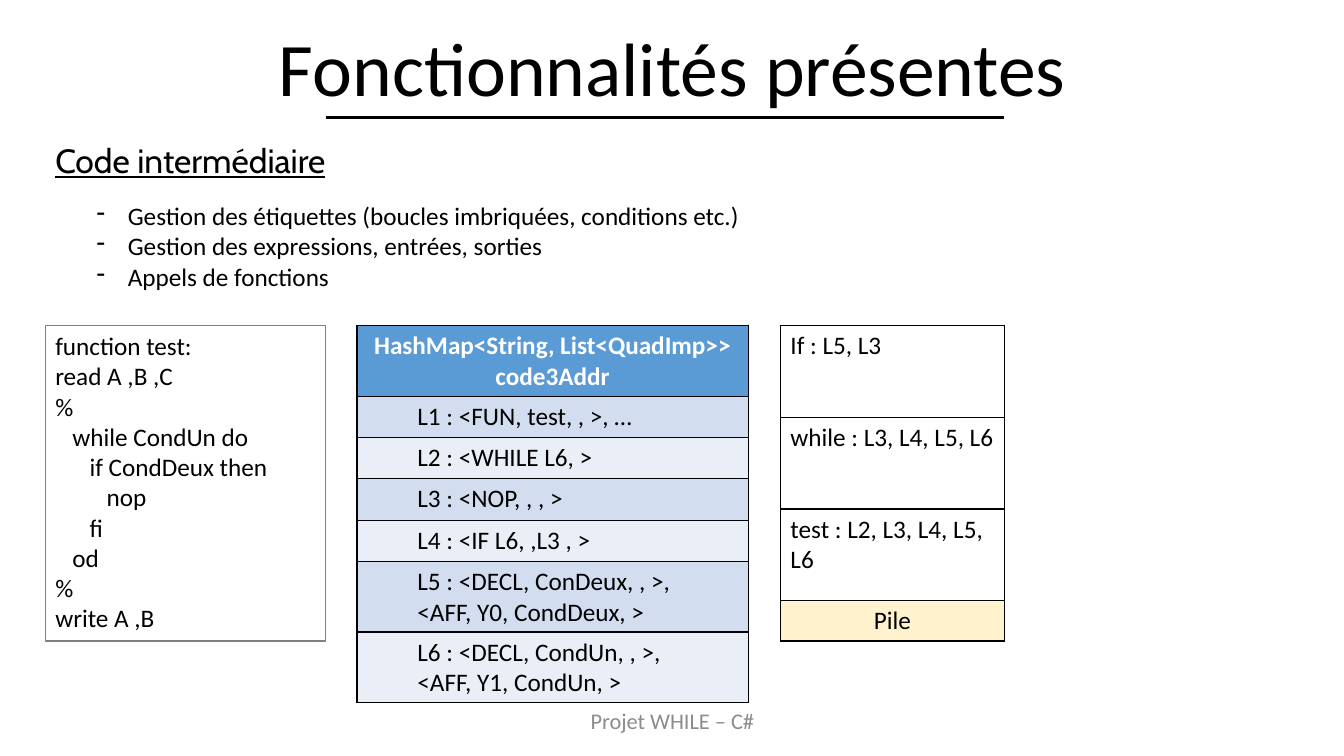
from lxml import etree
from pptx import Presentation
from pptx.dml.color import RGBColor
from pptx.enum.shapes import MSO_CONNECTOR, MSO_SHAPE
from pptx.enum.text import MSO_ANCHOR, PP_ALIGN
from pptx.oxml import parse_xml
from pptx.oxml.ns import nsdecls, qn
from pptx.util import Pt

LEFT, CENTER = PP_ALIGN.LEFT, PP_ALIGN.CENTER
TOP, MIDDLE, BOTTOM = MSO_ANCHOR.TOP, MSO_ANCHOR.MIDDLE, MSO_ANCHOR.BOTTOM
PX = 9144  # 100 px to the inch
rgb = RGBColor.from_string


def write(frame, lines, size=18, color="000000", font="Calibri",
          align=LEFT, anchor=TOP, bold=False, underline=False):
    """Write (indent, text) lines, one paragraph each."""
    frame.word_wrap = True
    frame.vertical_anchor = anchor
    for number, (indent, text) in enumerate(lines):
        paragraph = frame.paragraphs[0] if number == 0 else frame.add_paragraph()
        paragraph.alignment = align
        if indent:
            paragraph._p.get_or_add_pPr().set("marL", str(indent * PX))
        run = paragraph.add_run()
        run.text = text
        run.font.name, run.font.size = font, Pt(size)
        run.font.bold, run.font.underline = bold, underline
        run.font.color.rgb = rgb(color)


def add_grid(left, width, rows):
    """Add a one-column table from (height, fill, lines, style) rows."""
    height = sum(row[0] for row in rows)
    table = slide.shapes.add_table(len(rows), 1, left * PX, 323 * PX,
                                   width * PX, height * PX).table
    table.first_row = table.horz_banding = False
    for number, (row_height, fill, lines, style) in enumerate(rows):
        table.rows[number].height = row_height * PX
        cell = table.cell(number, 0)
        write(cell.text_frame, lines, **style)
        for side in ("lnL", "lnR", "lnT", "lnB"):
            cell._tc.get_or_add_tcPr().append(parse_xml(
                f'<a:{side} {nsdecls("a")} w="12700"><a:solidFill>'
                f'<a:srgbClr val="000000"/></a:solidFill></a:{side}>'))
        if fill:
            cell.fill.solid()
            cell.fill.fore_color.rgb = rgb(fill)
        else:
            cell.fill.background()


prs = Presentation()
prs.slide_width, prs.slide_height = 1333 * PX, 750 * PX
slide = prs.slides.add_slide(prs.slide_layouts[6])

# Title, section heading and footer
title = slide.shapes.add_textbox(167 * PX, 21 * PX, 1000 * PX, 96 * PX)
write(title.text_frame, [(0, "Fonctionnalités présentes")], size=54,
      align=CENTER, anchor=BOTTOM)
title.text_frame.paragraphs[0].line_spacing = 0.9

title_rule = slide.shapes.add_connector(MSO_CONNECTOR.STRAIGHT, 323 * PX, 117 * PX,
                                        996 * PX, 117 * PX)
title_rule.line.color.rgb = rgb("000000")
title_rule.line.width = Pt(2.25)
etree.SubElement(title_rule._element.spPr, qn("a:effectLst"))

footer = slide.shapes.add_textbox(442 * PX, 695 * PX, 450 * PX, 40 * PX)
write(footer.text_frame, [(0, "Projet WHILE – C#")], size=16, color="8C8C8C",
      align=CENTER, anchor=MIDDLE)

heading = slide.shapes.add_textbox(45 * PX, 134 * PX, 373 * PX, 50 * PX)
write(heading.text_frame, [(0, "Code intermédiaire")], size=24, font="Cabin",
      underline=True)

# Feature list with dashes
features = slide.shapes.add_textbox(86 * PX, 194 * PX, 751 * PX, 101 * PX)
write(features.text_frame, [
    (31, "Gestion des étiquettes (boucles imbriquées, conditions etc.)"),
    (31, "Gestion des expressions, entrées, sorties"),
    (31, "Appels de fonctions"),
])
for feature in features.text_frame.paragraphs:
    properties = feature._p.get_or_add_pPr()
    properties.set("indent", str(-31 * PX))
    etree.SubElement(properties, qn("a:buFontTx"))
    etree.SubElement(properties, qn("a:buChar"), char="-")

# Stack of labels
stack = [(91, None, [(0, text)], {}) for text in
         ("If : L5, L3", "while : L3, L4, L5, L6", "test : L2, L3, L4, L5, L6")]
stack.append((39, "FFF2CC", [(0, "Pile")], {"align": CENTER}))
add_grid(774, 222, stack)

# Three-address code
instructions = [
    ["L1 : <FUN, test, , >, …"],
    ["L2 : <WHILE L6, >"],
    ["L3 : <NOP, , , >"],
    ["L4 : <IF L6, ,L3 , >"],
    ["L5 : <DECL, ConDeux, , >,", "<AFF, Y0, CondDeux, >"],
    ["L6 : <DECL, CondUn, , >,", "<AFF, Y1, CondUn, >"],
]
code_map = [(70, "5B9BD5", [(0, "HashMap<String, List<QuadImp>> code3Addr")],
             {"align": CENTER, "color": "FFFFFF", "bold": True})]
for number, lines in enumerate(instructions):
    code_map.append((41 if len(lines) == 1 else 70, ("D2DEEF", "EAEFF7")[number % 2],
                     [(50, text) for text in lines], {}))
add_grid(354, 388, code_map)

# Source program, one 17 px step per nesting level
program = slide.shapes.add_shape(MSO_SHAPE.RECTANGLE, 45 * PX, 323 * PX,
                                 278 * PX, 313 * PX)
program.shadow.inherit = False
program.fill.solid()
program.fill.fore_color.rgb = rgb("FFFFFF")
white = program._element.spPr.find(qn("a:solidFill"))[0]
etree.SubElement(white, qn("a:alpha"), val="75000")
program.line.color.rgb = rgb("808080")
program.line.width = Pt(0.75)
source = [(0, "function test:"), (0, "read A ,B ,C"), (0, "%"),
          (1, "while CondUn do"), (2, "if CondDeux then"), (3, "nop"),
          (2, "fi"), (1, "od"), (0, "%"), (0, "write A ,B")]
write(program.text_frame, [(level * 17, text) for level, text in source])

prs.save("out.pptx")
